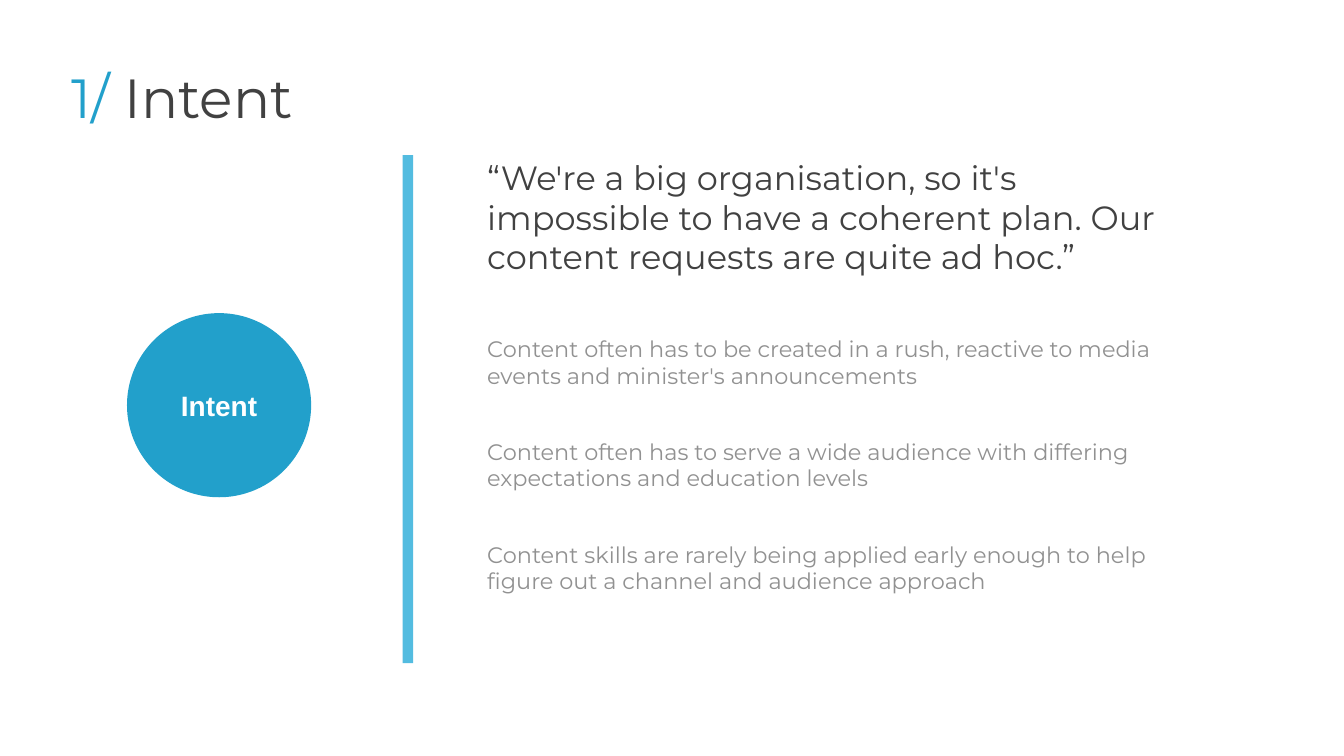
from pptx import Presentation
from pptx.dml.color import RGBColor
from pptx.enum.shapes import MSO_SHAPE
from pptx.enum.text import MSO_ANCHOR, MSO_AUTO_SIZE, PP_ALIGN
from pptx.util import Inches, Pt

RECT, OVAL = MSO_SHAPE.RECTANGLE, MSO_SHAPE.OVAL
TOP, MIDDLE = MSO_ANCHOR.TOP, MSO_ANCHOR.MIDDLE
LEFT, CENTER = PP_ALIGN.LEFT, PP_ALIGN.CENTER
NO_FIT = MSO_AUTO_SIZE.NONE

COLORS = {
    "accent": "22A0CB",
    "bar": "53BCE0",
    "dark": "414141",
    "muted": "919191",
    "white": "FFFFFF",
}
COLUMNS, ROWS = 80, 45
TEXT_COL, TEXT_COLS = 28.84, 40.44

POINTS = [
    "Content often has to be created in a rush, reactive to media events "
    "and minister's announcements",
    "Content often has to serve a wide audience with differing expectations "
    "and education levels",
    "Content skills are rarely being applied early enough to help figure out "
    "a channel and audience approach",
]


def add_text(p, text, size=24, color="dark", font="Montserrat", bold=False):
    r = p.add_run()
    r.text = text
    r.font.name = font
    r.font.size = Pt(size)
    r.font.bold = bold
    r.font.color.rgb = RGBColor.from_string(COLORS[color])


class SlideBuilder:
    """Holds the style and the current slide; boxes are (column, row, columns, rows)."""

    def __init__(self, prs):
        self.cell_w = prs.slide_width / COLUMNS
        self.cell_h = prs.slide_height / ROWS
        self.s = prs.slides.add_slide(prs.slide_layouts[1])

    def grid(self, box):
        x, y, w, h = box
        return [round(n) for n in (x * self.cell_w, y * self.cell_h,
                                   w * self.cell_w, h * self.cell_h)]

    def frame(self, sp, anchor=TOP, inset=0.04):
        tf = sp.text_frame
        tf.word_wrap = True
        tf.auto_size = NO_FIT
        tf.vertical_anchor = anchor
        tf.margin_left = tf.margin_right = Inches(inset)
        tf.margin_top = tf.margin_bottom = Inches(inset)
        return tf

    def place(self, sp, box):
        sp.left, sp.top, sp.width, sp.height = self.grid(box)
        return self.frame(sp)

    def title(self, box, number, text):
        p = self.place(self.s.shapes.title, box).paragraphs[0]
        p.alignment = LEFT
        add_text(p, number, size=59, color="accent")
        add_text(p, text, size=59)

    def body(self, box, items, gap):
        tf = self.place(self.s.placeholders[1], box)
        for i, item in enumerate(items):
            p = tf.add_paragraph() if i else tf.paragraphs[0]
            p.line_spacing = 0.98
            p.space_before = Pt(gap if i else 0)
            add_text(p, item, color="muted")
            pPr = p._p.get_or_add_pPr()
            pPr.set("marL", "0")
            pPr.set("indent", "0")
            pPr.append(pPr.makeelement(
                "{http://schemas.openxmlformats.org/drawingml/2006/main}buNone"))

    def quote(self, box, text):
        sp = self.s.shapes.add_textbox(*self.grid(box))
        p = self.frame(sp).paragraphs[0]
        p.line_spacing = 0.98
        add_text(p, text, size=36)

    def shape(self, kind, box, color):
        sp = self.s.shapes.add_shape(kind, *self.grid(box))
        sp.shadow.inherit = False
        sp.fill.solid()
        sp.fill.fore_color.rgb = RGBColor.from_string(COLORS[color])
        sp.line.fill.background()
        return sp

    def badge(self, box, text):
        sp = self.shape(OVAL, box, "accent")
        p = self.frame(sp, MIDDLE, 0.1).paragraphs[0]
        p.alignment = CENTER
        add_text(p, text, size=30, color="white", font="Arial", bold=True)


def main():
    prs = Presentation()
    prs.slide_width, prs.slide_height = Inches(20), Inches(11.25)

    slide = SlideBuilder(prs)
    slide.shape(RECT, (23.96, 9.24, 0.64, 30.24), "bar")
    slide.title((4.12, 3.6, 48.68, 4.44), "1/ ", "Intent")
    slide.badge((7.56, 18.64, 10.96, 10.96), "Intent")
    slide.quote((TEXT_COL, 9.32, TEXT_COLS, 8.84),
                "“We're a big organisation, so it's impossible to have a coherent "
                "plan. Our content requests are quite ad hoc.”")
    slide.body((TEXT_COL, 19.88, TEXT_COLS, 16.76), POINTS, gap=53.5)

    prs.save("out.pptx")


if __name__ == "__main__":
    main()
